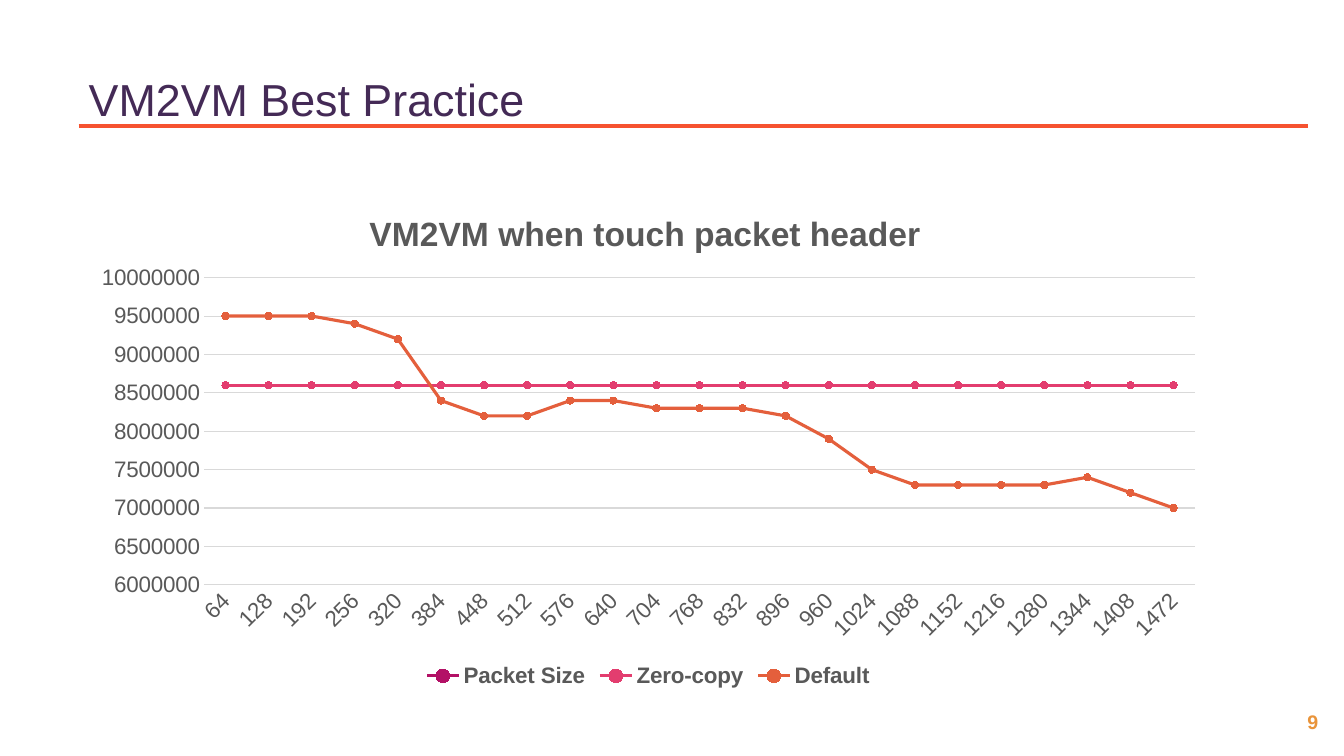
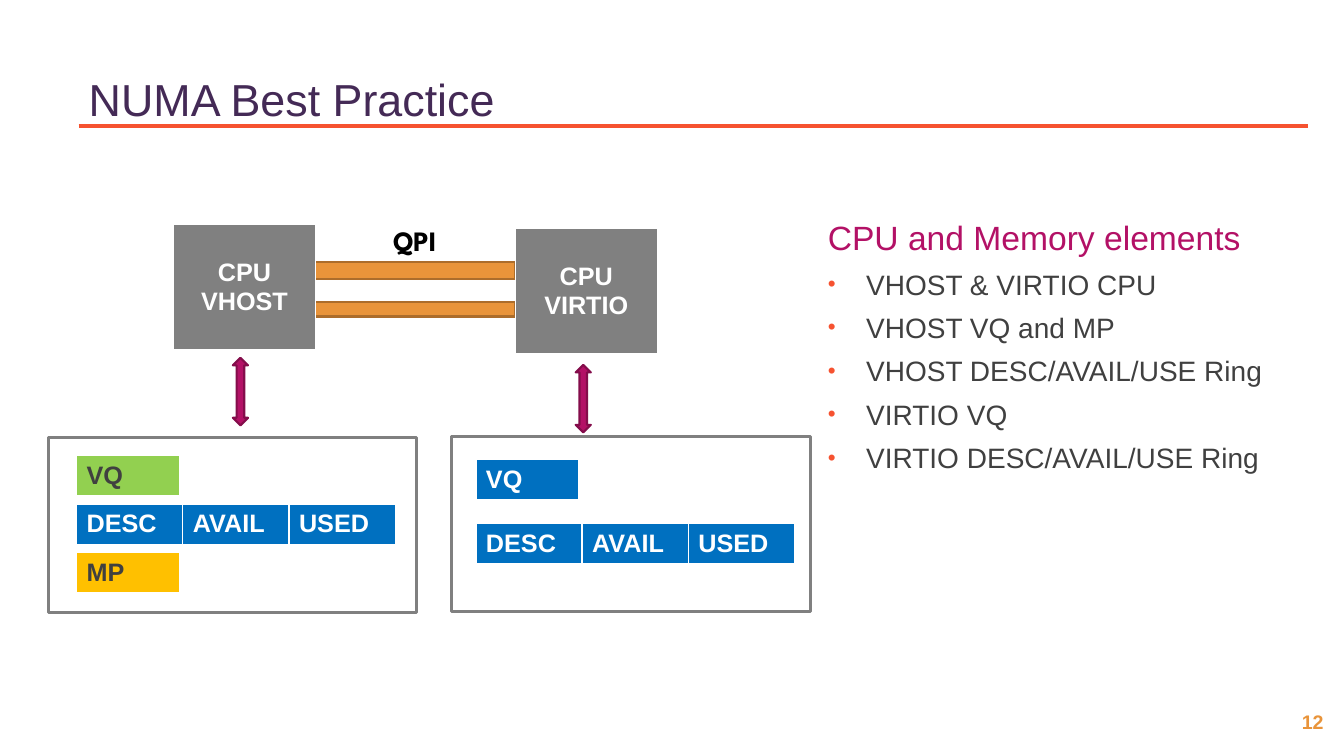
import dataclasses

import lxml.etree
import pptx
import pptx.chart.data
import pptx.dml.color
import pptx.enum.chart
import pptx.enum.shapes
import pptx.enum.text
import pptx.oxml.ns
import pptx.util

Inches = pptx.util.Inches
Pt = pptx.util.Pt
qn = pptx.oxml.ns.qn
rgb = pptx.dml.color.RGBColor.from_string


@dataclasses.dataclass(frozen=True)
class Theme:
    font = "Arial"
    label_font = "League Spartan"
    title = rgb("442A56")
    rule = rgb("F65230")
    magenta = rgb("B31166")
    magenta_edge = rgb("840D4B")
    pink = rgb("E33D6F")
    coral = rgb("E45F3C")
    orange = rgb("E9943A")
    orange_edge = rgb("AC6D2B")
    blue = rgb("0070C0")
    green = rgb("92D050")
    amber = rgb("FFC000")
    gray = rgb("808080")
    chart_text = rgb("595959")
    grid = rgb("D9D9D9")
    text = rgb("404040")
    white = rgb("FFFFFF")
    black = rgb("000000")
    title_size = Pt(32)
    heading_size = Pt(24)
    body_size = Pt(20)
    cell_size = Pt(18)
    chart_size = Pt(16)
    number_size = Pt(14)


theme = Theme()


def write(text_frame, text, size, color, bold=False, font=theme.font, align=None):
    """Fill a text frame, one paragraph a line, in a single style."""
    text_frame.text = text
    for paragraph in text_frame.paragraphs:
        paragraph.alignment = align
        paragraph.font.name = font
        paragraph.font.size = size
        paragraph.font.bold = bold
        paragraph.font.color.rgb = color


def start_slide(layout_index, title, number):
    """Add a slide with its title, the rule below it and the page number."""
    slide = presentation.slides.add_slide(presentation.slide_layouts[layout_index])
    shape = slide.shapes.title
    shape.left, shape.top = Inches(0.78), Inches(0.59)
    shape.width, shape.height = Inches(8.64), Inches(0.77)
    shape.text_frame.auto_size = pptx.enum.text.MSO_AUTO_SIZE.NONE
    shape.text_frame.vertical_anchor = pptx.enum.text.MSO_ANCHOR.MIDDLE
    write(shape.text_frame, title, theme.title_size, theme.title,
          align=pptx.enum.text.PP_ALIGN.LEFT)

    rule = slide.shapes.add_connector(
        pptx.enum.shapes.MSO_CONNECTOR.STRAIGHT,
        Inches(0.78), Inches(1.25), Inches(12.97), Inches(1.25))
    rule.line.color.rgb = theme.rule
    rule.line.width = Pt(2.25)
    lxml.etree.SubElement(rule.element.spPr, qn("a:effectLst"))

    page_number = slide.shapes.add_textbox(
        Inches(12.71), Inches(6.99), Inches(0.62), Inches(0.34))
    page_number.text_frame.word_wrap = True
    write(page_number.text_frame, str(number), theme.number_size, theme.orange,
          bold=True, align=pptx.enum.text.PP_ALIGN.CENTER)
    return slide


presentation = pptx.Presentation()
presentation.slide_width = Inches(13.33)
presentation.slide_height = Inches(7.5)

# Throughput chart
slide = start_slide(5, "VM2VM Best Practice", 9)
packet_sizes = range(64, 1473, 64)
default_rates = [95, 95, 95, 94, 92, 84, 82, 82, 84, 84, 83, 83,
                 83, 82, 79, 75, 73, 73, 73, 73, 74, 72, 70]
chart_data = pptx.chart.data.CategoryChartData()
chart_data.categories = [str(size) for size in packet_sizes]
chart_data.add_series("Packet Size", [0] * len(packet_sizes))
chart_data.add_series("Zero-copy", [8_600_000] * len(packet_sizes))
chart_data.add_series("Default", [rate * 100_000 for rate in default_rates])
chart = slide.shapes.add_chart(
    pptx.enum.chart.XL_CHART_TYPE.LINE_MARKERS,
    Inches(0.78), Inches(1.79), Inches(11.3), Inches(5.08), chart_data).chart
chart.font.name = theme.font
chart.font.size = theme.chart_size
chart.font.color.rgb = theme.chart_text
write(chart.chart_title.text_frame, "VM2VM when touch packet header",
      theme.heading_size, theme.chart_text, bold=True)

chart.has_legend = True
chart.legend.position = pptx.enum.chart.XL_LEGEND_POSITION.BOTTOM
chart.legend.include_in_layout = False
chart.legend.font.name = theme.font
chart.legend.font.size = theme.chart_size
chart.legend.font.bold = True
chart.legend.font.color.rgb = theme.chart_text

for axis in (chart.category_axis, chart.value_axis):
    axis.major_tick_mark = pptx.enum.chart.XL_TICK_MARK.NONE
    axis.tick_labels.font.name = theme.font
    axis.tick_labels.font.size = theme.chart_size
    axis.tick_labels.font.color.rgb = theme.chart_text
chart.category_axis.format.line.color.rgb = theme.grid
chart.category_axis.format.line.width = Pt(0.75)
chart.element.xpath(".//c:catAx/c:txPr/a:bodyPr")[0].set("rot", "-2700000")
value_axis = chart.value_axis
value_axis.minimum_scale = 6_000_000
value_axis.maximum_scale = 10_000_000
value_axis.major_unit = 500_000
value_axis.format.line.fill.background()
value_axis.major_gridlines.format.line.color.rgb = theme.grid
value_axis.major_gridlines.format.line.width = Pt(0.75)

chart.plots[0].vary_by_categories = False
for series, color in zip(chart.plots[0].series,
                         (theme.magenta, theme.pink, theme.coral)):
    series.smooth = False
    series.format.line.color.rgb = color
    series.format.line.width = Pt(2.25)
    series.marker.style = pptx.enum.chart.XL_MARKER_STYLE.CIRCLE
    series.marker.size = 5
    series.marker.format.fill.solid()
    series.marker.format.fill.fore_color.rgb = color
    series.marker.format.line.color.rgb = color

# Fixed places for the chart title and the plot, as fractions of the chart
chart_parts = [
    ("c:title", {"xMode": "edge", "yMode": "edge", "x": 0.25, "y": 0.05}),
    ("c:plotArea", {"layoutTarget": "inner", "xMode": "edge", "yMode": "edge",
                    "x": 0.11, "y": 0.19, "w": 0.87, "h": 0.6}),
]
for tag, settings in chart_parts:
    part = chart.element.xpath(f"c:chart/{tag}")[0]
    layout = part.find(qn("c:layout"))
    if layout is None:
        layout = part.makeelement(qn("c:layout"))
        part.insert(0, layout)
    manual_layout = lxml.etree.SubElement(layout, qn("c:manualLayout"))
    for name, value in settings.items():
        lxml.etree.SubElement(manual_layout, qn(f"c:{name}")).set("val", str(value))

# Processors, their memory and the links between them
slide = start_slide(4, "NUMA Best Practice", 12)
rectangle = pptx.enum.shapes.MSO_SHAPE.RECTANGLE
arrow = pptx.enum.shapes.MSO_SHAPE.UP_DOWN_ARROW
memory_frame = (None, theme.gray, 2.25)
memory_arrow = (theme.magenta, theme.magenta_edge, 1.5)
processor_link = (theme.orange, theme.orange_edge, 1.5)
diagram_shapes = [
    (rectangle, 0.48, 4.34, 3.65, 1.74, memory_frame),
    (rectangle, 4.48, 4.33, 3.56, 1.74, memory_frame),
    (arrow, 2.31, 3.55, 0.15, 0.67, memory_arrow),
    (arrow, 5.71, 3.62, 0.15, 0.67, memory_arrow),
    (rectangle, 3.1, 2.6, 2.01, 0.17, processor_link),
    (rectangle, 3.1, 3, 2.01, 0.14, processor_link),
]
for kind, left, top, width, height, (fill, edge, weight) in diagram_shapes:
    shape = slide.shapes.add_shape(
        kind, Inches(left), Inches(top), Inches(width), Inches(height))
    shape.shadow.inherit = False
    if fill is None:
        shape.fill.background()
    else:
        shape.fill.solid()
        shape.fill.fore_color.rgb = fill
    shape.line.color.rgb = edge
    shape.line.width = Pt(weight)

rings = ["DESC", "AVAIL", "USED"]
center = pptx.enum.text.PP_ALIGN.CENTER
left_align = pptx.enum.text.PP_ALIGN.LEFT
diagram_tables = [
    (0.76, 4.52, 1.02, 0.4, ["VQ"], theme.green, theme.text, left_align),
    (0.76, 5, 3.16, 0.4, rings, theme.blue, theme.white, left_align),
    (0.76, 5.48, 1.02, 0.4, ["MP"], theme.amber, theme.text, left_align),
    (4.72, 4.56, 1.02, 0.4, ["VQ"], theme.blue, theme.white, left_align),
    (4.72, 5.19, 3.16, 0.4, rings, theme.blue, theme.white, left_align),
    (1.72, 2.23, 1.41, 1.24, ["CPU\nVHOST"], theme.gray, theme.white, center),
    (5.11, 2.27, 1.41, 1.24, ["CPU\nVIRTIO"], theme.gray, theme.white, center),
]
for left, top, width, height, labels, fill, color, align in diagram_tables:
    table = slide.shapes.add_table(
        1, len(labels), Inches(left), Inches(top), Inches(width), Inches(height)).table
    table.horz_banding = False
    for cell, label in zip(table.iter_cells(), labels):
        cell.fill.solid()
        cell.fill.fore_color.rgb = fill
        cell.vertical_anchor = pptx.enum.text.MSO_ANCHOR.MIDDLE
        write(cell.text_frame, label, theme.cell_size, color, bold=True, align=align)

link_label = slide.shapes.add_textbox(
    Inches(3.8), Inches(2.17), Inches(1.37), Inches(0.44))
link_label.text_frame.word_wrap = True
write(link_label.text_frame, "QPI", theme.body_size, theme.black,
      bold=True, font=theme.label_font)

# Heading and list
heading, elements, *unused = list(slide.placeholders)[1:]
for placeholder in unused:
    placeholder.element.getparent().remove(placeholder.element)
for placeholder, top, height, anchor in [
    (heading, 1.97, 0.63, pptx.enum.text.MSO_ANCHOR.BOTTOM),
    (elements, 2.6, 3.11, pptx.enum.text.MSO_ANCHOR.TOP),
]:
    placeholder.left, placeholder.top = Inches(8.11), Inches(top)
    placeholder.width, placeholder.height = Inches(5.28), Inches(height)
    placeholder.text_frame.auto_size = pptx.enum.text.MSO_AUTO_SIZE.NONE
    placeholder.text_frame.vertical_anchor = anchor

write(heading.text_frame, "CPU and Memory elements", theme.heading_size, theme.magenta)
heading.text_frame.paragraphs[0].space_before = Pt(0)

elements.text_frame.text = "\n".join([
    "VHOST & VIRTIO CPU",
    "VHOST VQ and MP",
    "VHOST DESC/AVAIL/USE Ring",
    "VIRTIO VQ",
    "VIRTIO DESC/AVAIL/USE Ring",
])
for paragraph in elements.text_frame.paragraphs:
    properties = paragraph._p.get_or_add_pPr()
    properties.set("marL", str(Inches(0.38)))
    properties.set("indent", str(-Inches(0.38)))
    bullet_color = lxml.etree.SubElement(properties, qn("a:buClr"))
    lxml.etree.SubElement(bullet_color, qn("a:srgbClr")).set("val", str(theme.rule))
    lxml.etree.SubElement(properties, qn("a:buSzPct")).set("val", "80000")
    lxml.etree.SubElement(properties, qn("a:buChar")).set("char", "•")
    paragraph.space_before = Pt(0)
    paragraph.space_after = Pt(7)
    paragraph.font.name = theme.font
    paragraph.font.size = theme.body_size
    paragraph.font.color.rgb = theme.text

presentation.save("out.pptx")
